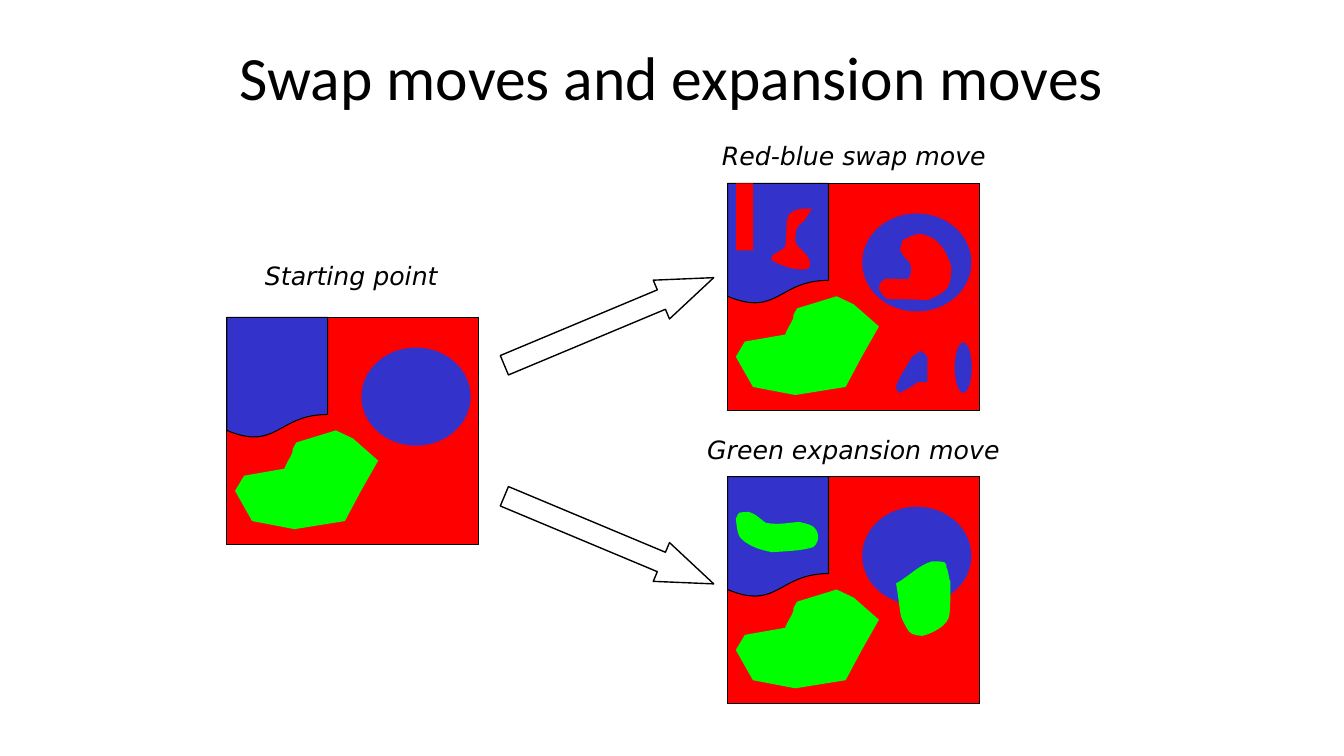
from lxml.etree import SubElement
from pptx import Presentation
from pptx.dml.color import RGBColor
from pptx.enum.shapes import MSO_SHAPE
from pptx.enum.text import MSO_ANCHOR, MSO_AUTO_SIZE, PP_ALIGN
from pptx.oxml.ns import qn
from pptx.util import Cm, Pt

COLORS = {"black": "000000", "red": "FF0000", "blue": "3333CC", "green": "00FF00"}
UNIT = 0.0254

GREEN_REGION = [
    (57, 150), (59, 144, 63, 139, 65, 134), (65, 132, 65, 130, 66, 129),
    (67, 127, 69, 124, 69, 124), (108, 112), (125, 120), (150, 142), (133, 172),
    (117, 202), (67, 210), (25, 202), (8, 172), (17, 157), (57, 150),
]
BLUE_FIN = [
    (171, 192), (176, 184, 177, 182, 181, 175), (182, 174, 183, 172, 184, 171),
    (187, 170, 192, 166, 192, 166), (198, 172), (198, 197), (189, 197),
    (183, 201, 177, 205, 170, 208), (167, 203, 167, 205, 167, 201), (171, 192),
]
RED_CURL = [
    (173, 57), (180, 53, 182, 52, 189, 50), (209, 52, 216, 66, 222, 83),
    (221, 89, 222, 94, 220, 99), (218, 108, 204, 114, 197, 116),
    (184, 115, 172, 115, 159, 115), (155, 114, 150, 105, 150, 105),
    (152, 90, 160, 96, 179, 95), (184, 88, 183, 79, 176, 74),
    (174, 72, 173, 69, 171, 66), (170, 65, 172, 64, 172, 63),
    (173, 61, 173, 57, 173, 57),
]
RED_SQUIGGLE = [
    (84, 25), (79, 25, 74, 25, 69, 26), (65, 27, 60, 32, 60, 32),
    (57, 43, 59, 51, 57, 63), (57, 65, 47, 69, 45, 71), (45, 73, 42, 75, 43, 76),
    (52, 81, 57, 83, 67, 85), (71, 85, 77, 87, 80, 84), (86, 78, 75, 67, 71, 64),
    (69, 62, 67, 58, 67, 58), (67, 54, 67, 51, 68, 47), (68, 43, 73, 40, 75, 38),
    (79, 34, 80, 29, 84, 25),
]
GREEN_OVER_CIRCLE = [
    (167, 106), (180, 99, 189, 88, 203, 84), (207, 84, 211, 84, 215, 85),
    (217, 86, 217, 88, 217, 90), (219, 94, 219, 98, 220, 102),
    (221, 103, 221, 105, 221, 106), (221, 116, 221, 127, 220, 137),
    (219, 148, 202, 156, 193, 158), (184, 157, 181, 157, 177, 149),
    (175, 146, 172, 139, 172, 139), (170, 128, 169, 117, 167, 106),
]
GREEN_BEAN = [
    (8, 42), (9, 48, 9, 53, 11, 58), (11, 60, 17, 65, 19, 66),
    (27, 71, 34, 73, 44, 75), (58, 74, 71, 74, 85, 70), (92, 64, 91, 54, 84, 49),
    (80, 47, 75, 46, 71, 45), (58, 46, 51, 48, 38, 46), (32, 42, 28, 37, 21, 35),
    (9, 36, 12, 34, 8, 42),
]


def rgb(name):
    return RGBColor.from_string(COLORS[name])


def paint(sp, fill=None, line_width=None):
    sp.shadow.inherit = False
    if fill:
        sp.fill.solid()
        sp.fill.fore_color.rgb = rgb(fill)
    else:
        sp.fill.background()
    if line_width:
        sp.line.color.rgb = rgb("black")
        sp.line.width = Pt(line_width)
    else:
        sp.line.fill.background()


def bend(sp, outline):
    left = min(segment[-2] for segment in outline)
    top = min(segment[-1] for segment in outline)
    lines = list(sp.element.iter(qn("a:lnTo")))
    for line, segment in zip(lines, outline[1:]):
        if len(segment) == 2:
            continue
        line.tag = qn("a:cubicBezTo")
        line.remove(line[0])
        for x, y in zip(segment[::2], segment[1::2]):
            SubElement(line, qn("a:pt"), x=str(Cm((x - left) * UNIT).emu),
                       y=str(Cm((y - top) * UNIT).emu))


def add_region(group, origin, outline, fill):
    points = [(Cm(segment[-2] * UNIT), Cm(segment[-1] * UNIT)) for segment in outline]
    builder = group.shapes.build_freeform(*points[0])
    builder.add_line_segments(points[1:], close=True)
    sp = builder.convert_to_shape(Cm(origin[0]), Cm(origin[1]))
    bend(sp, outline)
    paint(sp, fill)


def add_preset(group, origin, kind, box, fill, line_width=None):
    x, y, width, height = box
    sp = group.shapes.add_shape(
        kind, Cm(origin[0] + x), Cm(origin[1] + y), Cm(width), Cm(height))
    paint(sp, fill, line_width)


def add_panel(s, origin):
    group = s.shapes.add_group_shape()
    add_preset(group, origin, MSO_SHAPE.RECTANGLE, (0, 0, 6.35, 5.72), "red", 0.75)
    add_preset(group, origin, MSO_SHAPE.FLOWCHART_DOCUMENT, (0, 0, 2.54, 3.05), "blue", 0.75)
    add_preset(group, origin, MSO_SHAPE.OVAL, (3.39, 0.76, 2.75, 2.47), "blue")
    add_region(group, origin, GREEN_REGION, "green")
    return group


def add_run(p, text, font, size, italic=False):
    p.alignment = PP_ALIGN.CENTER
    r = p.add_run()
    r.text = text
    r.font.name = font
    r.font.size = Pt(size)
    r.font.italic = italic
    r.font.color.rgb = rgb("black")


def add_title(s, text):
    sp = s.shapes.title
    sp.left, sp.top, sp.width, sp.height = Cm(1.69), Cm(0.64), Cm(30.48), Cm(2.54)
    tf = sp.text_frame
    tf.vertical_anchor = MSO_ANCHOR.MIDDLE
    add_run(tf.paragraphs[0], text, "Calibri", 44)


def add_label(s, text, x, y, width):
    tf = s.shapes.add_textbox(Cm(x), Cm(y), Cm(width), Cm(1.02)).text_frame
    tf.word_wrap = False
    tf.auto_size = MSO_AUTO_SIZE.SHAPE_TO_FIT_TEXT
    add_run(tf.paragraphs[0], text, "DejaVu Sans", 18, italic=True)


def add_arrow(s, y, rotation):
    sp = s.shapes.add_shape(MSO_SHAPE.RIGHT_ARROW, Cm(12.49), Cm(y), Cm(5.72), Cm(1.06))
    sp.adjustments[0] = 0.5
    sp.adjustments[1] = 1.35
    sp.rotation = rotation
    paint(sp, line_width=1)


def main():
    prs = Presentation()
    prs.slide_width, prs.slide_height = Cm(33.87), Cm(19.05)
    s = prs.slides.add_slide(prs.slide_layouts[5])
    add_title(s, "Swap moves and expansion moves")

    add_panel(s, (5.72, 8))
    add_label(s, "Starting point", 6.38, 6.43, 4.95)

    swap = (18.34, 4.62)
    add_label(s, "Red-blue swap move", 17.9, 3.4, 7.24)
    group = add_panel(s, swap)
    add_region(group, swap, BLUE_FIN, "blue")
    add_preset(group, swap, MSO_SHAPE.OVAL, (5.72, 4.01, 0.43, 1.27), "blue")
    add_preset(group, swap, MSO_SHAPE.RECTANGLE, (0.21, 0, 0.43, 1.69), "red")
    add_region(group, swap, RED_CURL, "red")
    add_region(group, swap, RED_SQUIGGLE, "red")
    add_arrow(s, 7.57, 337.3)

    expansion = (18.34, 12.01)
    add_label(s, "Green expansion move", 17.55, 10.82, 7.92)
    group = add_panel(s, expansion)
    add_region(group, expansion, GREEN_OVER_CIRCLE, "green")
    add_region(group, expansion, GREEN_BEAN, "green")
    add_arrow(s, 13.08, 22.7)

    prs.save("out.pptx")


if __name__ == "__main__":
    main()
